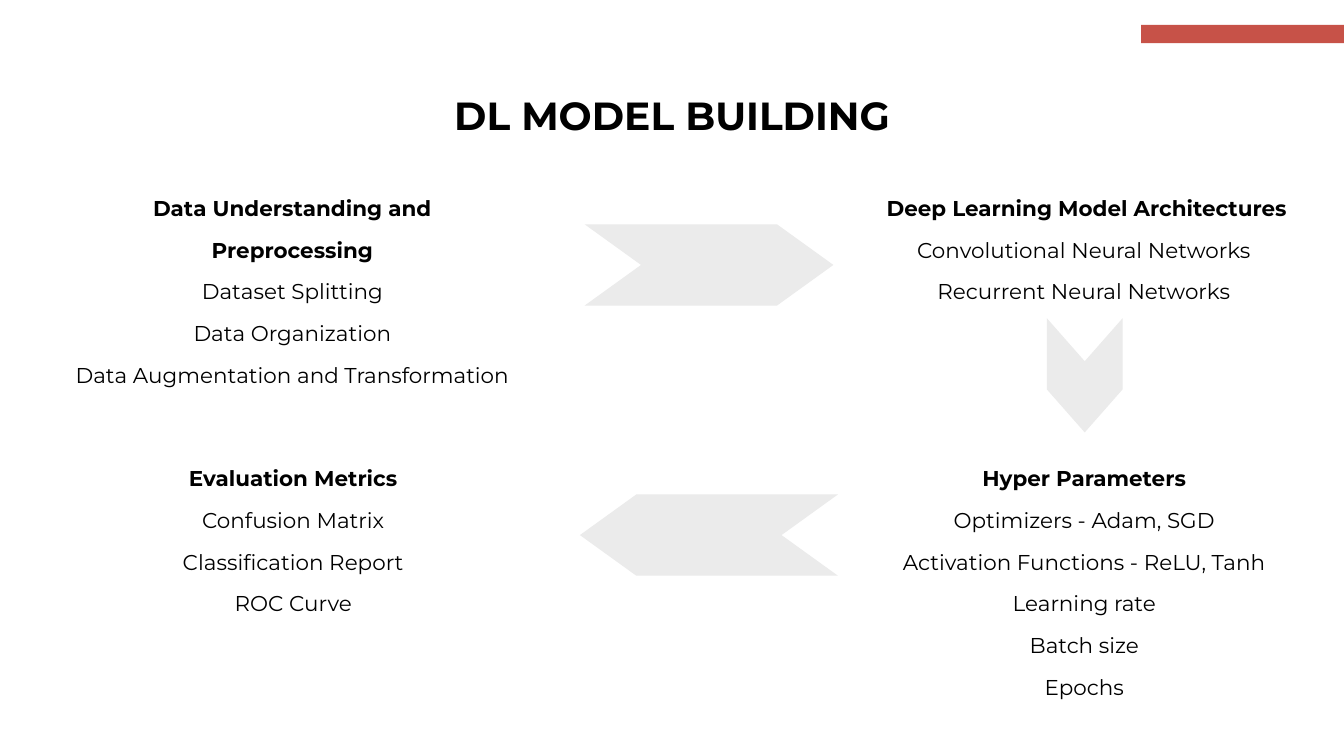
"""Build the slide on the steps of deep learning model building."""
from pptx import Presentation
from pptx.dml.color import RGBColor
from pptx.enum.shapes import MSO_SHAPE
from pptx.enum.text import MSO_AUTO_SIZE, PP_ALIGN
from pptx.util import Cm, Pt

BLACK = RGBColor(0x00, 0x00, 0x00)
RED = RGBColor(0xC7, 0x52, 0x48)
GREY = RGBColor(0xEB, 0xEB, 0xEB)
FONT = "Montserrat"

TOP_ROW, BOTTOM_ROW = 6.76, 16.97

STAGES = [
    ((32.84, TOP_ROW, 16.26, 4.52),
     [" Deep Learning Model Architectures", "Convolutional Neural Networks",
      "Recurrent Neural Networks"]),
    ((2.84, TOP_ROW, 16.43, 6.1),
     ["Data Understanding and Preprocessing", "Dataset Splitting",
      "Data Organization", "Data Augmentation and Transformation"]),
    ((3.63, BOTTOM_ROW, 14.91, 6.1),
     ["Evaluation Metrics", "Confusion Matrix", "Classification Report",
      "ROC Curve"]),
    ((33.63, BOTTOM_ROW, 14.71, 9.19),
     ["Hyper Parameters", "Optimizers - Adam, SGD",
      "Activation Functions - ReLU, Tanh", "Learning rate", "Batch size",
      "Epochs"]),
]


def paint(shape, color):
    """Give a shape a plain fill without line or shadow."""
    shape.shadow.inherit = False
    shape.fill.solid()
    shape.fill.fore_color.rgb = color
    shape.line.fill.background()


def add_bar(page, left, top, width, height, color):
    """Add a plain rectangle."""
    bar = page.shapes.add_shape(
        MSO_SHAPE.RECTANGLE, Cm(left), Cm(top), Cm(width), Cm(height))
    paint(bar, color)


def add_chevron(page, left, top, width, height, notch, rotation=0):
    """Add a notched arrow that points right before it is rotated."""
    right, middle, bottom = left + width, top + height / 2, top + height
    corners = [(right - notch, top), (right, middle), (right - notch, bottom),
               (left, bottom), (left + notch, middle)]
    builder = page.shapes.build_freeform(Cm(left), Cm(top))
    builder.add_line_segments([(Cm(x), Cm(y)) for x, y in corners], close=True)
    chevron = builder.convert_to_shape()
    chevron.rotation = rotation
    paint(chevron, GREY)


def add_text(page, place, lines, size, spacing):
    """Add centred lines of text, the first of them bold."""
    box = page.shapes.add_textbox(*(Cm(length) for length in place))
    frame = box.text_frame
    frame.word_wrap = True
    frame.auto_size = MSO_AUTO_SIZE.SHAPE_TO_FIT_TEXT
    frame.margin_left = frame.margin_right = Cm(0)
    frame.margin_top = frame.margin_bottom = Cm(0)
    for index, line in enumerate(lines):
        para = frame.add_paragraph() if index else frame.paragraphs[0]
        para.alignment = PP_ALIGN.CENTER
        para.line_spacing = Pt(spacing)
        span = para.add_run()
        span.text = line
        span.font.name = FONT
        span.font.size = Pt(size)
        span.font.bold = index == 0
        span.font.color.rgb = BLACK


def main():
    """Build and save the deck."""
    deck = Presentation()
    deck.slide_width, deck.slide_height = Cm(50.8), Cm(28.575)
    page = deck.slides.add_slide(deck.slide_layouts[6])
    add_bar(page, 43.13, 0.94, 7.67, 0.69, RED)
    add_text(page, (11.81, 3.84, 27.18, 1.47), ["DL MODEL BUILDING"],
             size=42, spacing=39.5)
    for place, lines in STAGES:
        add_text(page, place, lines, size=23, spacing=44.8)
    add_chevron(page, 22.1, 8.48, 9.4, 3.07, notch=2.13)
    add_chevron(page, 38.84, 12.75, 4.32, 2.87, notch=1.63, rotation=90)
    add_chevron(page, 21.92, 18.69, 9.75, 3.07, notch=2.13, rotation=180)
    deck.save("out.pptx")


if __name__ == "__main__":
    main()
